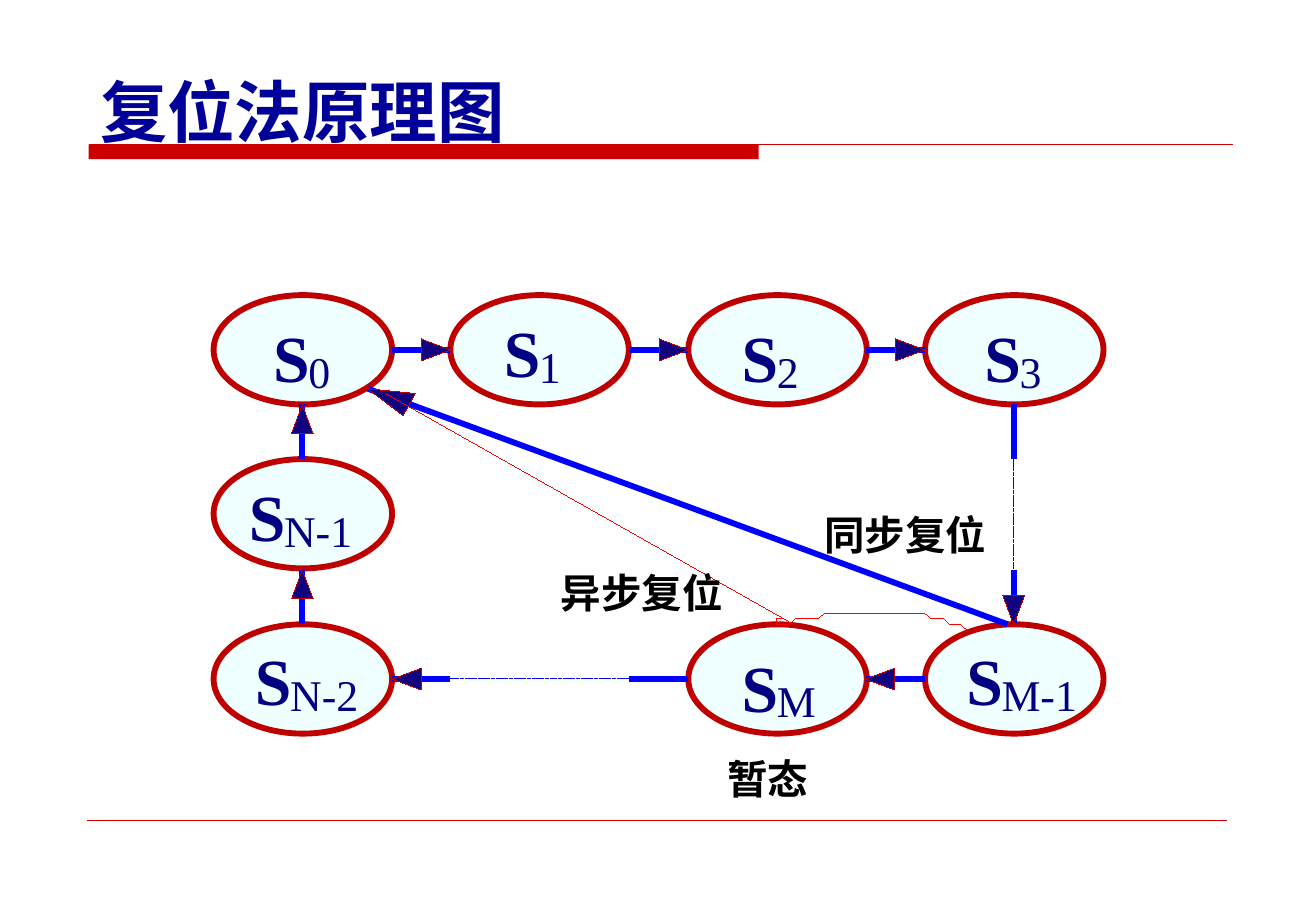
import pptx
import pptx.util
import pptx.dml.color
import pptx.enum.dml
import pptx.enum.shapes
import pptx.enum.text
import pptx.oxml
import pptx.oxml.ns

RGBColor = pptx.dml.color.RGBColor
RED = RGBColor(0xCC, 0x00, 0x00)
TITLE_BLUE = RGBColor(0x00, 0x00, 0x99)
STATE_FILL = RGBColor(0xF0, 0xFF, 0xFF)
STATE_EDGE = RGBColor(0xBF, 0x00, 0x00)
NAVY = RGBColor(0x00, 0x00, 0x80)
ARROW_BLUE = RGBColor(0x00, 0x00, 0xFF)
HEAD_FILL = RGBColor(0x11, 0x03, 0x7F)
ASYNC_RED = RGBColor(0xFF, 0x00, 0x00)
BLACK = RGBColor(0x00, 0x00, 0x00)

SERIF = "Times New Roman"
SANS = "DejaVu Sans"
PX = 9144
HAIRLINE = pptx.util.Emu(1)
HEAVY = pptx.util.Pt(3.5)
COLUMNS = [176, 371, 567, 762]
ROWS = [243, 378, 514]
STATE_WIDTH, STATE_HEIGHT = 147, 90
HEAD_LENGTH, HEAD_HALF = 24, 9


def px(value):
    return pptx.util.Emu(value * PX)


def add_span(para, text, size, color, bold, face):
    span = para.add_run()
    span.text = text
    span.font.size = pptx.util.Pt(size)
    span.font.bold = bold
    span.font.color.rgb = color
    span.font.name = face
    east_asian = pptx.oxml.parse_xml(
        '<a:ea %s typeface="%s"/>' % (pptx.oxml.ns.nsdecls("a"), SANS))
    span.font._element.find(pptx.oxml.ns.qn("a:latin")).addnext(east_asian)


def add_label(page, left, top, width, height, text, size, color, bold=True, face=SERIF):
    box = page.shapes.add_textbox(px(left), px(top), px(width), px(height))
    frame = box.text_frame
    frame.margin_left = frame.margin_right = 0
    frame.margin_top = frame.margin_bottom = 0
    frame.word_wrap = True
    add_span(frame.paragraphs[0], text, size, color, bold, face)


def add_title(page):
    box = page.shapes.add_textbox(px(68), px(29), px(362), px(100))
    frame = box.text_frame
    frame.word_wrap = True
    frame.vertical_anchor = pptx.enum.text.MSO_ANCHOR.BOTTOM
    para = frame.paragraphs[0]
    para.alignment = pptx.enum.text.PP_ALIGN.CENTER
    add_span(para, "复位法", 40, TITLE_BLUE, True, SERIF)
    add_span(para, "原理图", 40, TITLE_BLUE, True, SANS)


def add_line(page, start, end, color, width, dash=None):
    line = page.shapes.add_connector(
        pptx.enum.shapes.MSO_CONNECTOR.STRAIGHT, *map(px, start + end))
    line.line.color.rgb = color
    line.line.width = width
    if dash:
        line.line.dash_style = dash
    line._element.spPr.append(
        pptx.oxml.parse_xml("<a:effectLst %s/>" % pptx.oxml.ns.nsdecls("a")))


def add_outline(page, points, color, fill=None):
    builder = page.shapes.build_freeform(*points[0], scale=PX)
    builder.add_line_segments(points[1:], close=fill is not None)
    outline = builder.convert_to_shape()
    outline.shadow.inherit = False
    if fill is None:
        outline.fill.background()
    else:
        outline.fill.solid()
        outline.fill.fore_color.rgb = fill
    outline.line.color.rgb = color
    outline.line.width = HAIRLINE


def add_arrowhead(page, tip, across, down):
    x, y = tip
    back_x, back_y = x - across * HEAD_LENGTH, y - down * HEAD_LENGTH
    side_x, side_y = down * HEAD_HALF, across * HEAD_HALF
    points = [(back_x - side_x, back_y - side_y), (back_x + side_x, back_y + side_y), tip]
    add_outline(page, points, STATE_EDGE, HEAD_FILL)


def add_bar(page):
    bar = page.shapes.add_shape(
        pptx.enum.shapes.MSO_SHAPE.RECTANGLE, px(73), px(119), px(552), px(12))
    bar.shadow.inherit = False
    bar.fill.solid()
    bar.fill.fore_color.rgb = RED
    bar.line.fill.background()


def add_state(page, column, row, subscript, across, down):
    left, top = COLUMNS[column], ROWS[row]
    oval = page.shapes.add_shape(
        pptx.enum.shapes.MSO_SHAPE.OVAL,
        px(left), px(top), px(STATE_WIDTH), px(STATE_HEIGHT))
    oval.shadow.inherit = False
    oval.fill.solid()
    oval.fill.fore_color.rgb = STATE_FILL
    oval.line.color.rgb = STATE_EDGE
    oval.line.width = HEAVY
    add_label(page, left + across, top + down, 40, 65, "S", 39, NAVY)
    add_label(page, left + across + 29, top + down + 23, 20 + 20 * len(subscript), 43,
              subscript, 26, NAVY, bold=False)


def add_transitions(page):
    upper, lower, first, last = 288, 559, 249, 835
    for start, end in [
        ((323, upper), (371, upper)), ((518, upper), (567, upper)),
        ((713, upper), (762, upper)), ((713, lower), (762, lower)),
        ((last, 333), (last, 378)), ((last, 469), (last, 514)),
        ((first, 514), (first, 469)), ((first, 378), (first, 333)),
        ((323, lower), (371, lower)), ((518, lower), (567, lower)),
        ((303, 320), (830, 514)),
    ]:
        add_line(page, start, end, ARROW_BLUE, HEAVY)
    dotted = pptx.enum.dml.MSO_LINE.ROUND_DOT
    add_line(page, (last, 378), (last, 469), ARROW_BLUE, HAIRLINE, dotted)
    add_line(page, (518, lower), (371, lower), ARROW_BLUE, HAIRLINE, dotted)
    for tip, across, down in [
        ((371, upper), 1, 0), ((567, upper), 1, 0), ((762, upper), 1, 0),
        ((713, lower), -1, 0), ((323, lower), -1, 0),
        ((first, 333), 0, -1), ((first, 469), 0, -1), ((last, 514), 0, 1),
    ]:
        add_arrowhead(page, tip, across, down)
    add_outline(page, [(342, 324), (332, 342), (303, 320)], STATE_EDGE, HEAD_FILL)


def add_async_reset(page):
    add_outline(page, [
        (796, 518), (791, 514), (782, 514), (777, 509), (767, 509), (762, 505),
        (679, 505), (674, 509), (655, 509), (650, 514), (640, 514), (640, 509),
        (645, 509)], ASYNC_RED)
    add_line(page, (654, 514), (318, 324), ASYNC_RED, HAIRLINE)


def main():
    deck = pptx.Presentation()
    deck.slide_width, deck.slide_height = px(1084), px(750)
    page = deck.slides.add_slide(deck.slide_layouts[6])
    add_bar(page)
    add_line(page, (73, 119), (1016, 119), RED, pptx.util.Pt(0.75))
    add_line(page, (72, 675), (1011, 675), RED, pptx.util.Pt(0.25))
    add_title(page)
    for state in [
        (0, 0, "0", 49, 18), (1, 0, "1", 44, 14), (2, 0, "2", 44, 18),
        (3, 0, "3", 49, 18), (3, 2, "M-1", 34, 13), (2, 2, "M", 44, 18),
        (0, 2, "N-2", 34, 13), (0, 1, "N-1", 29, 14),
    ]:
        add_state(page, *state)
    add_transitions(page)
    add_async_reset(page)
    add_label(page, 679, 420, 160, 40, "同步复位", 24, BLACK)
    add_label(page, 599, 621, 90, 40, "暂态", 24, BLACK)
    add_label(page, 462, 468, 160, 40, "异步复位", 24, BLACK, face="Lato")
    deck.save("out.pptx")


if __name__ == "__main__":
    main()
